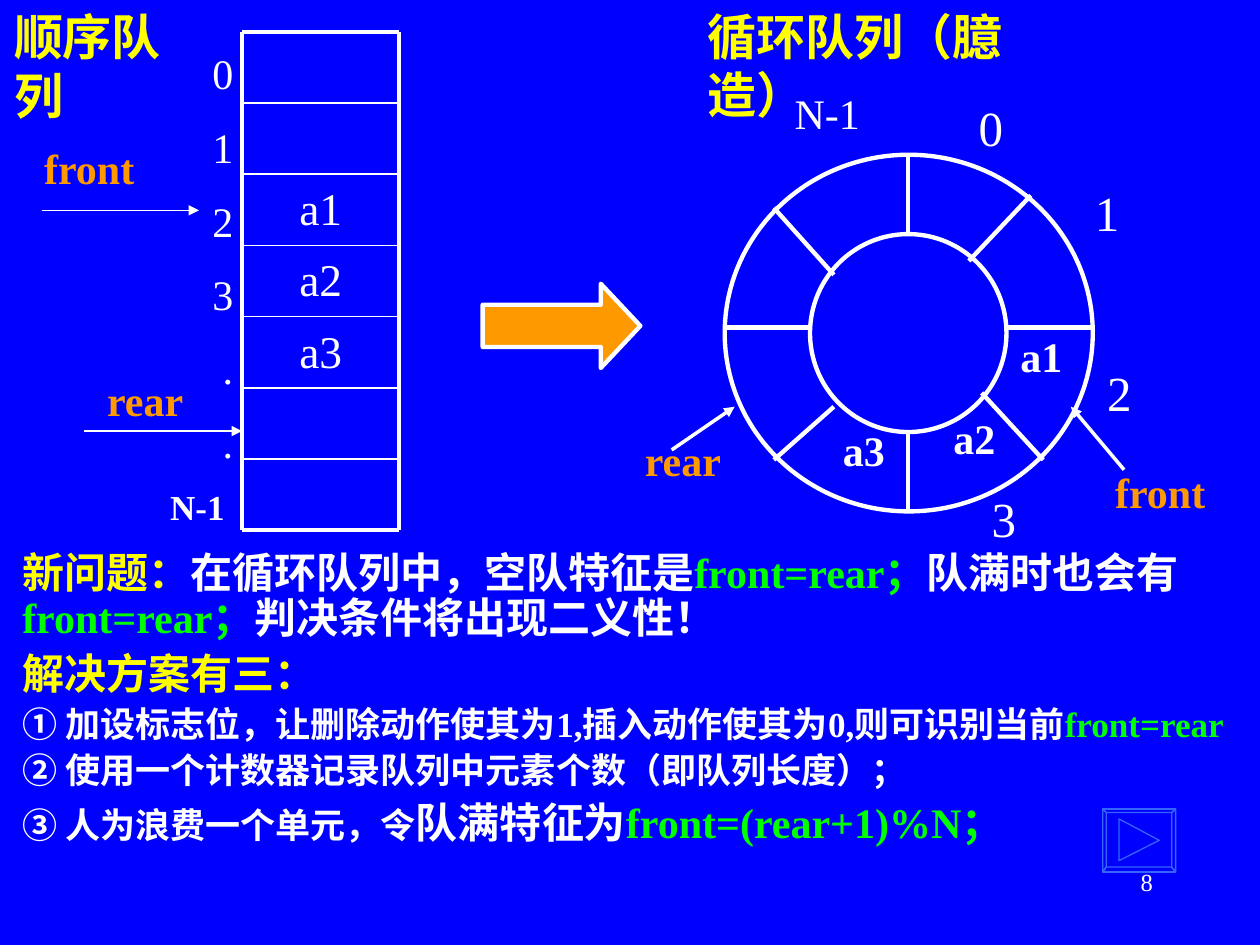
"""Build a slide comparing a sequential queue with a circular queue."""
from lxml.etree import SubElement
from pptx import Presentation
from pptx.dml.color import RGBColor
from pptx.enum.shapes import MSO_CONNECTOR, MSO_SHAPE
from pptx.enum.text import MSO_ANCHOR, PP_ALIGN
from pptx.oxml.ns import qn
from pptx.util import Cm, Pt

BLUE = RGBColor(0x00, 0x00, 0xFF)
WHITE = RGBColor(0xFF, 0xFF, 0xFF)
YELLOW = RGBColor(0xFF, 0xFF, 0x00)
ORANGE = RGBColor(0xFF, 0x99, 0x00)
GREEN = RGBColor(0x00, 0xFF, 0x00)
BUTTON_BLUE = RGBColor(0x33, 0x66, 0xFF)
SERIF = "Times New Roman"
SANS = "Noto Sans CJK SC"

presentation = Presentation()
presentation.slide_width, presentation.slide_height = Cm(25.4), Cm(19.05)
slide = presentation.slides.add_slide(presentation.slide_layouts[5])
slide.background.fill.solid()
slide.background.fill.fore_color.rgb = BLUE


def add_label(text, left, top, width, height, size, color=WHITE, bold=False,
              align=PP_ALIGN.LEFT, wrap=False):
    box = slide.shapes.add_textbox(Cm(left), Cm(top), Cm(width), Cm(height))
    box.text_frame.word_wrap = wrap
    paragraph = box.text_frame.paragraphs[0]
    paragraph.text = text
    paragraph.alignment = align
    paragraph.font.name = SERIF
    paragraph.font.size = Pt(size)
    paragraph.font.bold = bold
    paragraph.font.color.rgb = color


def add_line(x1, y1, x2, y2, width, arrow=False):
    line = slide.shapes.add_connector(
        MSO_CONNECTOR.STRAIGHT, Cm(x1), Cm(y1), Cm(x2), Cm(y2))
    line.line.color.rgb = WHITE
    line.line.width = Pt(width)
    if arrow:
        SubElement(line.line._get_or_add_ln(), qn("a:tailEnd"), type="triangle")
    SubElement(line._element.spPr, qn("a:effectLst"))


title = slide.shapes.title
title.left, title.top, title.width, title.height = Cm(0.03), Cm(0), Cm(4.45), Cm(1.45)
title.text_frame.word_wrap = False
title.text_frame.vertical_anchor = MSO_ANCHOR.TOP
title.text_frame.text = "顺序队列"
heading = title.text_frame.paragraphs[0]
heading.alignment = PP_ALIGN.LEFT
heading.font.name = SERIF
heading.font.size = Pt(28)
heading.font.bold = True
heading.font.color.rgb = YELLOW
add_label("循环队列（臆造）", 14.02, 0, 8.38, 1.45, 28, YELLOW, True)

arrow = slide.shapes.add_shape(
    MSO_SHAPE.RIGHT_ARROW, Cm(9.73), Cm(5.72), Cm(3.18), Cm(1.7))
arrow.adjustments[1] = 0.47
arrow.shadow.inherit = False
arrow.fill.solid()
arrow.fill.fore_color.rgb = ORANGE
arrow.line.color.rgb = WHITE
arrow.line.width = Pt(2.5)

for left, top, width, height in [(16.33, 4.72, 3.96, 3.99), (14.61, 3.12, 7.42, 7.19)]:
    ring = slide.shapes.add_shape(
        MSO_SHAPE.OVAL, Cm(left), Cm(top), Cm(width), Cm(height))
    ring.shadow.inherit = False
    ring.fill.background()
    ring.line.color.rgb = WHITE
    ring.line.width = Pt(2.5)

for spoke in [
    (20.29, 6.6, 22.02, 6.6), (14.61, 6.6, 16.33, 6.6),
    (18.31, 3.12, 18.31, 4.72), (18.31, 8.74, 18.31, 10.34),
    (15.6, 4.19, 16.81, 5.54), (19.79, 7.92, 21.03, 9.27),
    (20.78, 3.94, 19.53, 5.26), (16.81, 8.2, 15.6, 9.27),
]:
    add_line(*spoke, 2.5)

for text, left, top in [("a3", 16.74, 8.43), ("a2", 18.97, 8.2), ("a1", 20.32, 6.53)]:
    add_label(text, left, top, 1.35, 1.27, 24, bold=True)
for text, left, top in [("0", 19.48, 1.85), ("1", 21.82, 3.56),
                        ("2", 22.07, 7.19), ("3", 19.74, 9.73)]:
    add_label(text, left, top, 0.99, 1.45, 28)
add_label("N-1", 15.77, 1.63, 1.83, 1.27, 24)

for text, left, top, width in [
    ("rear", 12.75, 8.64, 2.06), ("front", 22.23, 9.27, 2.34),
    ("front", 0.64, 2.74, 2.34), ("rear", 1.91, 7.42, 2.06),
]:
    add_label(text, left, top, width, 1.27, 24, ORANGE, True)
for pointer in [(13.54, 9.07, 14.81, 8.2, 2), (22.66, 9.47, 21.59, 8.2, 2),
                (1.7, 8.69, 4.88, 8.69, 0.75), (0.84, 4.24, 4.01, 4.24, 0.75)]:
    add_line(*pointer, arrow=True)

QUEUE_LEFT, QUEUE_RIGHT, QUEUE_TOP, QUEUE_BOTTOM = 4.88, 8.05, 0.64, 10.69
ROWS = 7
row_height = (QUEUE_BOTTOM - QUEUE_TOP) / ROWS
for row in range(ROWS + 1):
    y = QUEUE_TOP + row * row_height
    add_line(QUEUE_LEFT, y, QUEUE_RIGHT, y, 2.25 if row in (0, ROWS) else 1)
for x in (QUEUE_LEFT, QUEUE_RIGHT):
    add_line(x, QUEUE_TOP, x, QUEUE_BOTTOM, 2.25)
for row, text in enumerate(["a1", "a2", "a3"], start=2):
    add_label(text, QUEUE_LEFT, QUEUE_TOP + row * row_height,
              QUEUE_RIGHT - QUEUE_LEFT, row_height, 25.9,
              align=PP_ALIGN.CENTER, wrap=True)

index_box = slide.shapes.add_textbox(Cm(3.18), Cm(0.84), Cm(1.9), Cm(9.68))
index_frame = index_box.text_frame
index_frame.word_wrap = True
for number, text in enumerate(["0", "1", "2", "3", ".", ".", "N-1"]):
    paragraph = index_frame.paragraphs[0] if number == 0 else index_frame.add_paragraph()
    paragraph.text = text
    last = text == "N-1"
    indent = 0 if last else 1.06 if text == "." else 0.85
    paragraph._p.get_or_add_pPr().set("marL", str(Cm(indent)))
    if number:
        paragraph.space_before = Pt(11 if last else 13.3)
    paragraph.font.name = SERIF
    paragraph.font.size = Pt(20 if last else 24)
    paragraph.font.bold = last
    paragraph.font.color.rgb = WHITE

notes_box = slide.shapes.add_textbox(Cm(0.2), Cm(11), Cm(25.2), Cm(6.35))
notes_frame = notes_box.text_frame
notes_frame.word_wrap = True
explanation = [
    (6, [("新问题：", 24, SERIF, YELLOW),
         ("在循环队列中，空队特征是", 24, SANS, WHITE),
         ("front=rear；", 24, SERIF, GREEN),
         ("队满时也会有", 24, SANS, WHITE),
         ("front=rear；", 24, SERIF, GREEN),
         ("判决条件将出现二义性！", 24, SANS, WHITE)]),
    (6, [("解决方案有三：", 24, SERIF, YELLOW)]),
    (5, [("① 加设标志位，让删除动作使其为1,插入动作使其为0,则可识别当前", 20, SERIF, WHITE),
         ("front=rear", 20, SERIF, GREEN)]),
    (5, [("② 使用一个计数器记录队列中元素个数（即队列长度）；", 20, SERIF, WHITE)]),
    (6, [("③ 人为浪费一个单元，令", 20, SERIF, WHITE),
         ("队满特征为", 24, SANS, WHITE),
         ("front=(rear+1)%N；", 24, SERIF, GREEN)]),
]
for number, (space, runs) in enumerate(explanation):
    paragraph = notes_frame.paragraphs[0] if number == 0 else notes_frame.add_paragraph()
    paragraph.line_spacing = 0.9
    if number:
        paragraph.space_before = Pt(space)
    paragraph.font.bold = True
    for text, size, font_name, color in runs:
        run = paragraph.add_run()
        run.text = text
        run.font.size = Pt(size)
        run.font.name = font_name
        run.font.color.rgb = color

outer = [(22.23, 16.31), (23.7, 16.31), (23.7, 17.58), (22.23, 17.58)]
inner = [(22.3, 16.38), (23.62, 16.38), (23.62, 17.48), (22.3, 17.48)]
bevels = [[outer[side], outer[(side + 1) % 4], inner[(side + 1) % 4], inner[side]]
          for side in range(4)]
triangle = [(22.56, 16.51), (23.37, 16.94), (22.56, 17.35)]
builder = slide.shapes.build_freeform(Cm(outer[0][0]), Cm(outer[0][1]))
for contour in [outer, *bevels, triangle]:
    points = [(Cm(x), Cm(y)) for x, y in contour]
    builder.move_to(*points[0])
    builder.add_line_segments(points[1:], close=True)
button = builder.convert_to_shape()
button.shadow.inherit = False
button.fill.background()
button.line.color.rgb = BUTTON_BLUE
button.line.width = Pt(0.75)

add_label("8", 18.21, 17.35, 5.28, 1.27, 14, align=PP_ALIGN.RIGHT, wrap=True)

presentation.save("out.pptx")
